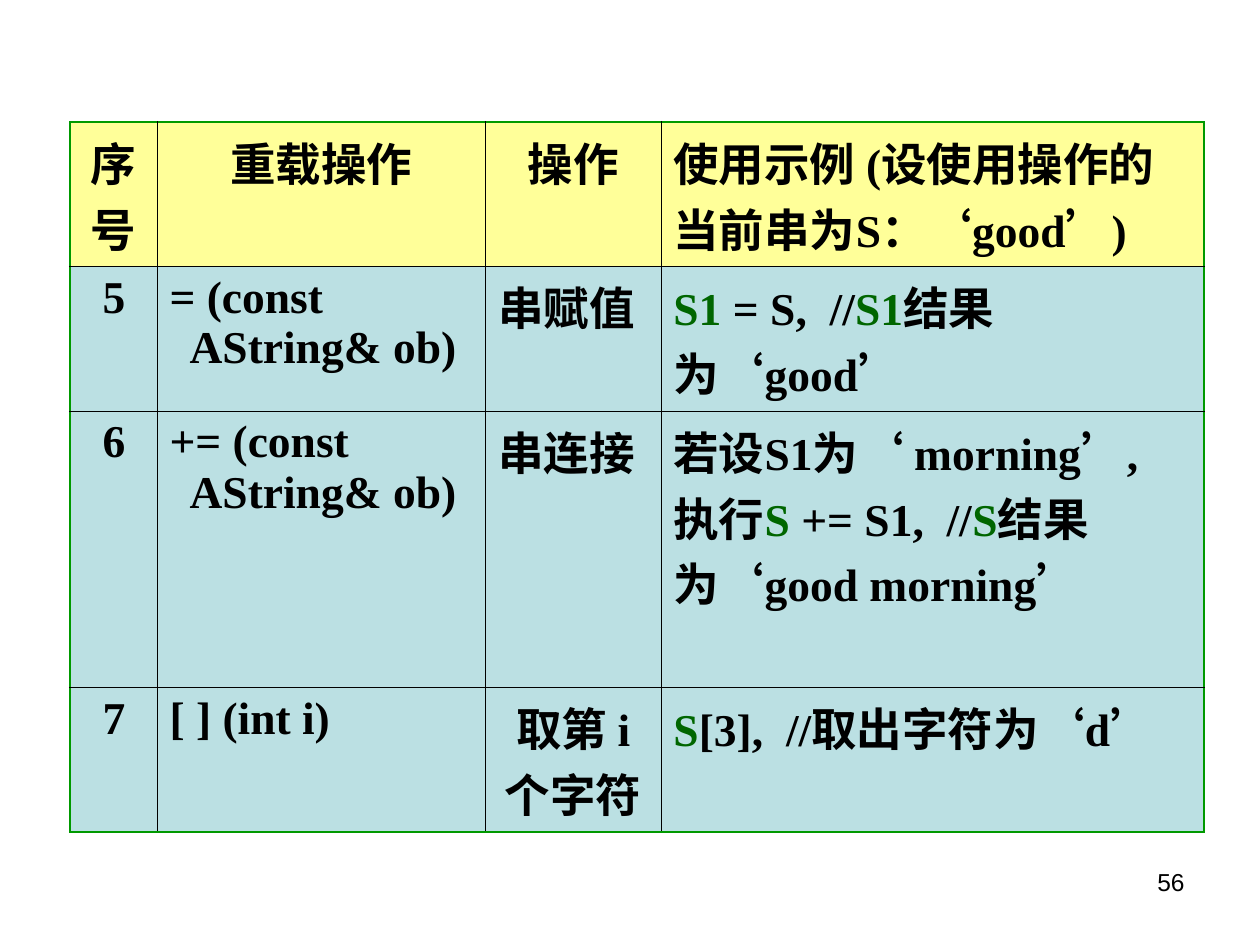
import pptx
import pptx.util
import pptx.dml.color
import pptx.enum.lang
import pptx.enum.text
import pptx.oxml
import pptx.oxml.ns
from dataclasses import dataclass

ALIGN = pptx.enum.text.PP_ALIGN
RGB = pptx.dml.color.RGBColor.from_string


@dataclass(frozen=True)
class Theme:
    ink: str = "000000"
    accent: str = "006600"
    header: str = "FFFF99"
    body: str = "BBE0E3"
    frame: str = "009900"
    table_font: str = "Times New Roman"
    number_font: str = "Arial"
    table_size: int = 26
    number_size: int = 14
    frame_width: float = 1.08
    grid_width: float = 0.45
    indent: float = 0.16


class Deck:
    def __init__(self, theme, width, height):
        self.theme = theme
        self.prs = pptx.Presentation()
        self.prs.slide_width = pptx.util.Inches(width)
        self.prs.slide_height = pptx.util.Inches(height)
        self.s = self.prs.slides.add_slide(self.prs.slide_layouts[6])

    def box(self, x, y, w, h):
        width, height = self.prs.slide_width, self.prs.slide_height
        return [round(v) for v in (x * width, y * height, w * width, h * height)]

    def style(self, p, name, size, bold=False):
        p.font.name, p.font.size, p.font.bold = name, pptx.util.Pt(size), bold

    def number(self, text, box):
        sp = self.s.shapes.add_textbox(*self.box(*box))
        tf = sp.text_frame
        tf.word_wrap = True
        p = tf.paragraphs[0]
        p.text, p.alignment = text, ALIGN.RIGHT
        self.style(p, self.theme.number_font, self.theme.number_size)
        p.font.color.rgb = RGB(self.theme.ink)

    def paragraph(self, p, text, align, indented):
        self.style(p, self.theme.table_font, self.theme.table_size, True)
        p.alignment = align
        pPr = p._p.get_or_add_pPr()
        pPr.set("hangingPunct", "0")
        if indented:
            pPr.set("marL", str(pptx.util.Inches(self.theme.indent)))
        for i, part in enumerate(text.split("|")):
            if part:
                r = p.add_run()
                r.text = part
                r.font.color.rgb = RGB(self.theme.accent if i % 2 else self.theme.ink)
                r.font.language_id = pptx.enum.lang.MSO_LANGUAGE_ID.SIMPLIFIED_CHINESE

    def borders(self, cell, outer):
        tcPr = cell._tc.get_or_add_tcPr()
        for i, (side, is_outer) in enumerate(zip("LRTB", outer)):
            color, width = ((self.theme.frame, self.theme.frame_width) if is_outer
                            else (self.theme.ink, self.theme.grid_width))
            tcPr.insert(i, pptx.oxml.parse_xml(
                f'<a:ln{side} {pptx.oxml.ns.nsdecls("a")} w="{pptx.util.Pt(width)}">'
                f'<a:solidFill><a:srgbClr val="{color}"/></a:solidFill></a:ln{side}>'))

    def table(self, rows, box, cols, heights, centered):
        n, m = len(rows), len(cols)
        x, y, w, h = self.box(*box)
        table = self.s.shapes.add_table(n, m, x, y, w, h).table
        for col, share in zip(table.columns, cols):
            col.width = round(w * share / sum(cols))
        for row, share in zip(table.rows, heights):
            row.height = round(h * share / sum(heights))
        for i, row in enumerate(rows):
            for j, text in enumerate(row):
                cell = table.cell(i, j)
                cell.fill.solid()
                cell.fill.fore_color.rgb = RGB(self.theme.body if i else self.theme.header)
                self.borders(cell, (j == 0, j == m - 1, i == 0, i == n - 1))
                tf = cell.text_frame
                align = ALIGN.CENTER if (i, j) in centered else ALIGN.LEFT
                for k, line in enumerate(text.split("\n")):
                    p = tf.add_paragraph() if k else tf.paragraphs[0]
                    indented = i > 0 and (j == 0 or j == 1 and k > 0)
                    self.paragraph(p, line, align, indented)

    def save(self):
        self.prs.save("out.pptx")


OPERATORS = [
    ("序\n号", "重载操作", "操作", "使用示例 (设使用操作的当前串为S：‘good’)"),
    ("5", "= (const\nAString& ob)", "串赋值", "|S1 |= S,  //|S1|结果为‘good’"),
    ("6", "+= (const\nAString& ob)", "串连接",
     "若设S1为‘ morning’, 执行|S |+= S1,  //|S|结果为‘good morning’"),
    ("7", "[ ] (int i)", "取第 i\n个字符", "|S|[3],  //取出字符为‘d’"),
]


def main():
    deck = Deck(Theme(), 10, 7.5)
    deck.table(OPERATORS, (1 / 18, 0.129, 0.9, 0.574),
               cols=(0.69, 2.61, 1.39, 4.31), heights=(0.97, 0.97, 1.4, 0.97),
               centered={(0, 0), (0, 1), (0, 2), (3, 2)})
    deck.number("56", (0.717, 0.911, 0.233, 0.069))
    deck.save()


if __name__ == "__main__":
    main()
